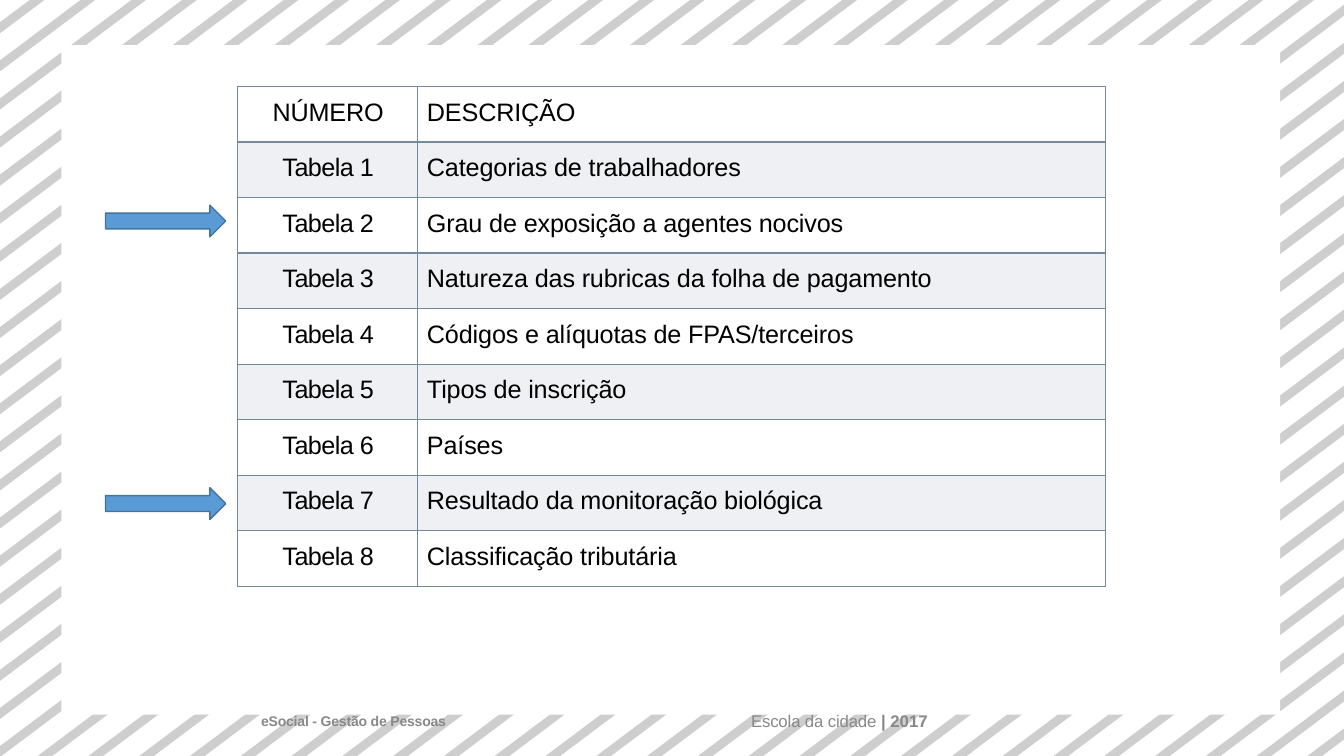
from lxml.etree import SubElement
from pptx import Presentation
from pptx.dml.color import RGBColor
from pptx.enum.shapes import MSO_SHAPE
from pptx.enum.text import MSO_ANCHOR, PP_ALIGN
from pptx.oxml import parse_xml
from pptx.oxml.ns import nsdecls, qn
from pptx.util import Cm, Pt

WIDTH, HEIGHT = 33.87, 19.05
SLOPE = 0.75
STRIPE_COUNT, STRIPE_FIRST, STRIPE_PITCH, STRIPE_WIDTH = 46, 1.12, 1.28, 0.37
ROWS = [
    ("NÚMERO", "DESCRIÇÃO"),
    ("Tabela 1", "Categorias de trabalhadores"),
    ("Tabela 2", "Grau de exposição a agentes nocivos"),
    ("Tabela 3", "Natureza das rubricas da folha de pagamento"),
    ("Tabela 4", "Códigos e alíquotas de FPAS/terceiros"),
    ("Tabela 5", "Tipos de inscrição"),
    ("Tabela 6", "Países"),
    ("Tabela 7", "Resultado da monitoração biológica"),
    ("Tabela 8", "Classificação tributária"),
]


def rgb(color):
    return RGBColor.from_string(color)


def add_run(p, text, size=18, color="000000", bold=False, spacing=-10):
    """Spacing is in hundredths of a point."""
    r = p.add_run()
    r.text = text
    r.font.name = "Arial"
    r.font.size = Pt(size)
    r.font.bold = bold
    r.font.color.rgb = rgb(color)
    r.font._element.set("spc", str(spacing))


def style_shape(sp, fill, line=None):
    sp.shadow.inherit = False
    sp.fill.solid()
    sp.fill.fore_color.rgb = rgb(fill)
    if line:
        sp.line.color.rgb = rgb(line)
        sp.line.width = Pt(1)
    else:
        sp.line.fill.background()


def edge_ends(x):
    """Upper and lower ends, within the slide, of the diagonal that meets the top at x."""
    upper = (x, 0) if x <= WIDTH else (WIDTH, (x - WIDTH) * SLOPE)
    lower = (0, x * SLOPE) if x * SLOPE <= HEIGHT else (x - HEIGHT / SLOPE, HEIGHT)
    return upper, lower


def add_stripe(s, right):
    right_top, right_end = edge_ends(right)
    left_top, left_end = edge_ends(right - STRIPE_WIDTH)
    points = [right_top, left_top, left_end]
    if left_end[1] < HEIGHT and right_end[0] > 0:
        points.append((0, HEIGHT))
    points.append(right_end)
    start, *rest = [(Cm(x), Cm(y)) for x, y in points]
    builder = s.shapes.build_freeform(*start)
    builder.add_line_segments(rest)
    style_shape(builder.convert_to_shape(), "CECECE")


def add_shape(s, kind, left, top, width, height, fill, line=None):
    sp = s.shapes.add_shape(kind, Cm(left), Cm(top), Cm(width), Cm(height))
    style_shape(sp, fill, line)


def style_cell(cell, shaded):
    if shaded:
        cell.fill.solid()
        cell.fill.fore_color.rgb = rgb("ABB8C3")
        tint = next(cell._tc.tcPr.iter(qn("a:srgbClr")))
        SubElement(tint, qn("a:alpha"), val="20000")
    else:
        cell.fill.background()
    for i, side in enumerate(("lnL", "lnR", "lnT", "lnB")):
        cell._tc.tcPr.insert(i, parse_xml(
            f'<a:{side} {nsdecls("a")} w="12700"><a:solidFill>'
            f'<a:srgbClr val="748A9C"/></a:solidFill></a:{side}>'))


def add_table(s, left, top, column_widths, row_height):
    frame = s.shapes.add_table(len(ROWS), len(column_widths), Cm(left), Cm(top),
                               Cm(sum(column_widths)), Cm(row_height * len(ROWS)))
    table = frame.table
    table.first_row = table.horz_banding = False
    for column, width in zip(table.columns, column_widths):
        column.width = Cm(width)
    for i, texts in enumerate(ROWS):
        table.rows[i].height = Cm(row_height)
        for j, text in enumerate(texts):
            cell = table.cell(i, j)
            style_cell(cell, shaded=i % 2 == 1)
            cell.margin_left = Cm(0.03 if j == 0 else 0.23)
            cell.margin_top = Cm(0.3)
            cell.margin_right = cell.margin_bottom = 0
            p = cell.text_frame.paragraphs[0]
            p.alignment = PP_ALIGN.CENTER if j == 0 else PP_ALIGN.LEFT
            add_run(p, text, spacing=-40 if j == 0 and i else -10)


def add_footer(s, left, top, width, height, align=PP_ALIGN.LEFT):
    tf = s.shapes.add_textbox(Cm(left), Cm(top), Cm(width), Cm(height)).text_frame
    tf.word_wrap = True
    tf.vertical_anchor = MSO_ANCHOR.MIDDLE
    tf.margin_left = tf.margin_top = tf.margin_right = tf.margin_bottom = 0
    p = tf.paragraphs[0]
    p.alignment = align
    return p


def main():
    prs = Presentation()
    prs.slide_width, prs.slide_height = Cm(WIDTH), Cm(HEIGHT)
    s = prs.slides.add_slide(prs.slide_layouts[6])

    for k in range(STRIPE_COUNT):
        add_stripe(s, STRIPE_FIRST + k * STRIPE_PITCH)
    add_shape(s, MSO_SHAPE.RECTANGLE, 1.55, 1.14, 30.71, 16.87, "FFFFFF")

    add_table(s, 5.98, 2.18, (4.55, 17.32), 1.4)

    p = add_footer(s, 15.44, 17.91, 11.43, 0.5, PP_ALIGN.CENTER)
    p.line_spacing = Pt(14.2)
    add_run(p, "Escola da cidade ", size=12, color="888888")
    add_run(p, "| 2017", size=12, color="888888", bold=True, spacing=0)
    p = add_footer(s, 6.58, 17.96, 7.62, 0.43)
    add_run(p, "eSocial - Gestão de Pessoas", size=10, color="888888", bold=True)

    for top in (5.17, 12.29):
        add_shape(s, MSO_SHAPE.RIGHT_ARROW, 2.66, top, 3.03, 0.8, "5B9BD5", "43739E")

    prs.save("out.pptx")


if __name__ == "__main__":
    main()
